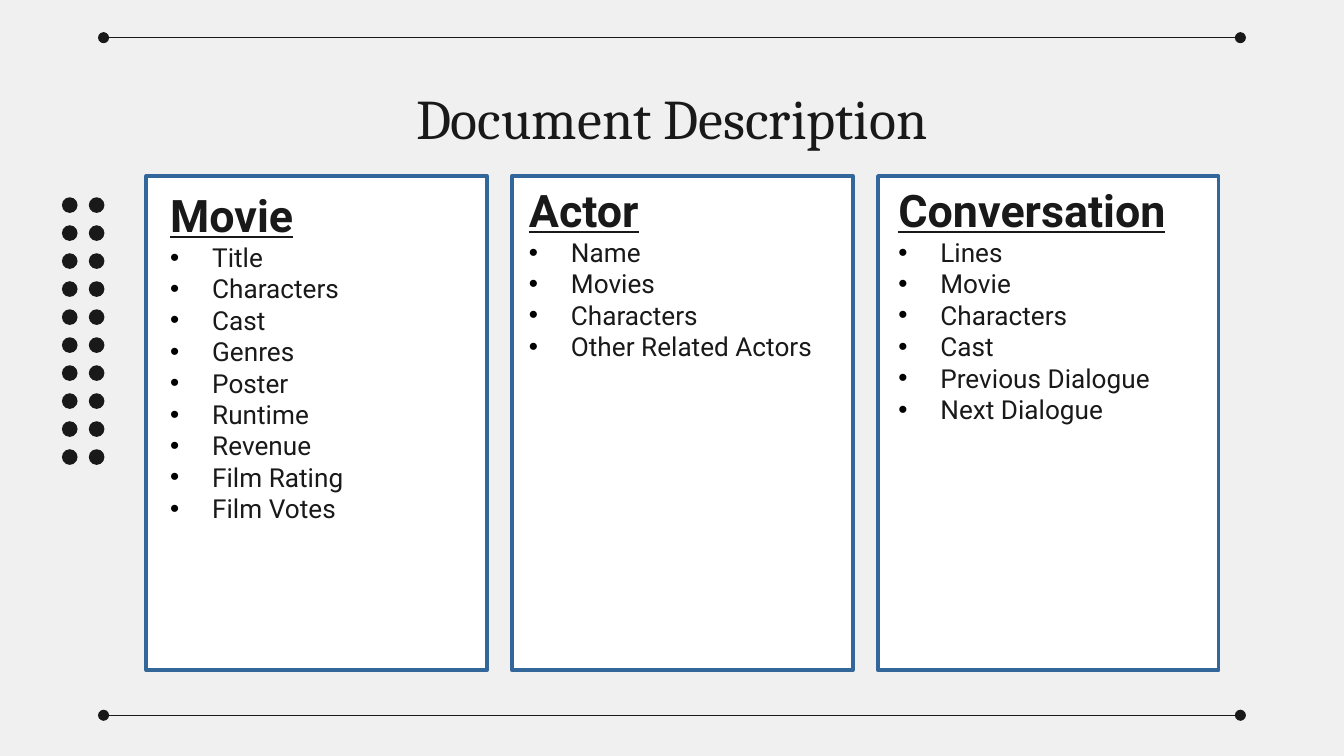
from dataclasses import dataclass

from lxml.etree import SubElement
from pptx import Presentation
from pptx.dml.color import RGBColor
from pptx.enum.shapes import MSO_CONNECTOR, MSO_SHAPE
from pptx.enum.text import MSO_ANCHOR, MSO_AUTO_SIZE, PP_ALIGN
from pptx.oxml.ns import qn
from pptx.util import Pt


@dataclass(frozen=True)
class Theme:
    background: str = "F0F0F0"
    ink: str = "191919"
    card: str = "FFFFFF"
    border: str = "336699"
    bullet: str = "000000"
    title_font: str = "Cambria"
    body_font: str = "Roboto"
    title_size: float = 30
    heading_size: float = 24
    body_size: float = 14


def rgb(value):
    return RGBColor.from_string(value)


class SlideBuilder:
    def __init__(self, prs, theme):
        self.theme = theme
        self.s = prs.slides.add_slide(prs.slide_layouts[6])
        fill = self.s.background.fill
        fill.solid()
        fill.fore_color.rgb = rgb(theme.background)

    def _shape(self, shapes, kind, x, y, w, h, color):
        sp = shapes.add_shape(kind, Pt(x), Pt(y), Pt(w), Pt(h))
        sp.shadow.inherit = False
        sp.fill.solid()
        sp.fill.fore_color.rgb = rgb(color)
        sp.line.fill.background()
        return sp

    def _text_frame(self, x, y, w, h):
        tf = self.s.shapes.add_textbox(Pt(x), Pt(y), Pt(w), Pt(h)).text_frame
        tf.word_wrap = True
        return tf

    def _format(self, p, font, size, strong=False):
        for r in p.runs:
            r.font.name = font
            r.font.size = Pt(size)
            r.font.bold = strong
            r.font.underline = strong
            r.font.color.rgb = rgb(self.theme.ink)

    def _bullet(self, p, indent=22.5):
        pPr = p._p.get_or_add_pPr()
        pPr.set("marL", str(Pt(indent)))
        pPr.set("indent", str(Pt(-indent)))
        color = SubElement(pPr, qn("a:buClr"))
        SubElement(color, qn("a:srgbClr"), val=self.theme.bullet)
        SubElement(pPr, qn("a:buFont"), typeface="Arial")
        SubElement(pPr, qn("a:buChar"), char="•")

    def title(self, text, x, y, w, h):
        tf = self._text_frame(x, y, w, h)
        tf.vertical_anchor = MSO_ANCHOR.MIDDLE
        tf.margin_top = tf.margin_bottom = Pt(7.2)
        tf.text = text
        p = tf.paragraphs[0]
        p.alignment = PP_ALIGN.CENTER
        self._format(p, self.theme.title_font, self.theme.title_size)

    def rule(self, x1, x2, y):
        """Draw a horizontal line with a round dot at both ends."""
        line = self.s.shapes.add_connector(
            MSO_CONNECTOR.STRAIGHT, Pt(x1), Pt(y), Pt(x2), Pt(y))
        line.line.width = Pt(0.75)
        line.line.color.rgb = rgb(self.theme.ink)
        ln = line.line._get_or_add_ln()
        for end in ("a:headEnd", "a:tailEnd"):
            SubElement(ln, qn(end), type="oval", w="med", len="med")
        SubElement(line._element.spPr, qn("a:effectLst"))

    def dot_grid(self, x, y, cols, rows, dx, dy, size):
        group = self.s.shapes.add_group_shape()
        for row in range(rows):
            for col in range(cols):
                self._shape(group.shapes, MSO_SHAPE.OVAL, x + col * dx,
                            y + row * dy, size, size, self.theme.ink)

    def card(self, x, y, w, h):
        sp = self._shape(self.s.shapes, MSO_SHAPE.RECTANGLE, x, y, w, h, self.theme.card)
        sp.line.color.rgb = rgb(self.theme.border)
        sp.line.width = Pt(2)

    def field_list(self, heading, fields, x, y, w, h):
        tf = self._text_frame(x, y, w, h)
        tf.auto_size = MSO_AUTO_SIZE.SHAPE_TO_FIT_TEXT
        tf.text = "\n".join([heading, *fields])
        for i, p in enumerate(tf.paragraphs):
            p.alignment = PP_ALIGN.JUSTIFY
            if i == 0:
                self._format(p, self.theme.body_font, self.theme.heading_size, strong=True)
            else:
                self._bullet(p)
                self._format(p, self.theme.body_font, self.theme.body_size)


# heading, fields, list left, list top, list height
DOCUMENTS = [
    ("Movie", ["Title", "Characters", "Cast", "Genres", "Poster", "Runtime",
               "Revenue", "Film Rating", "Film Votes"], 84.1, 97, 206),
    ("Actor", ["Name", "Movies", "Characters", "Other Related Actors"],
     276.3, 94.3, 104.4),
    ("Conversation", ["Lines", "Movie", "Characters", "Cast",
                      "Previous Dialogue", "Next Dialogue"], 474.2, 94.3, 138.2),
]


def main():
    prs = Presentation()
    prs.slide_width, prs.slide_height = Pt(720), Pt(405)
    slide = SlideBuilder(prs, Theme())
    slide.title("Document Description", 56.7, 35.3, 606.6, 54.7)
    for y in (20.2, 383.2):
        slide.rule(55.5, 664.5, y)
    slide.dot_grid(33.2, 105.7, cols=2, rows=10, dx=14.4, dy=15, size=8.4)
    for i in range(len(DOCUMENTS)):
        slide.card(78.4 + i * 196, 94.3, 182.4, 264.8)
    for heading, fields, x, y, h in DOCUMENTS:
        slide.field_list(heading, fields, x, y, 167.8, h)
    prs.save("out.pptx")


if __name__ == "__main__":
    main()
